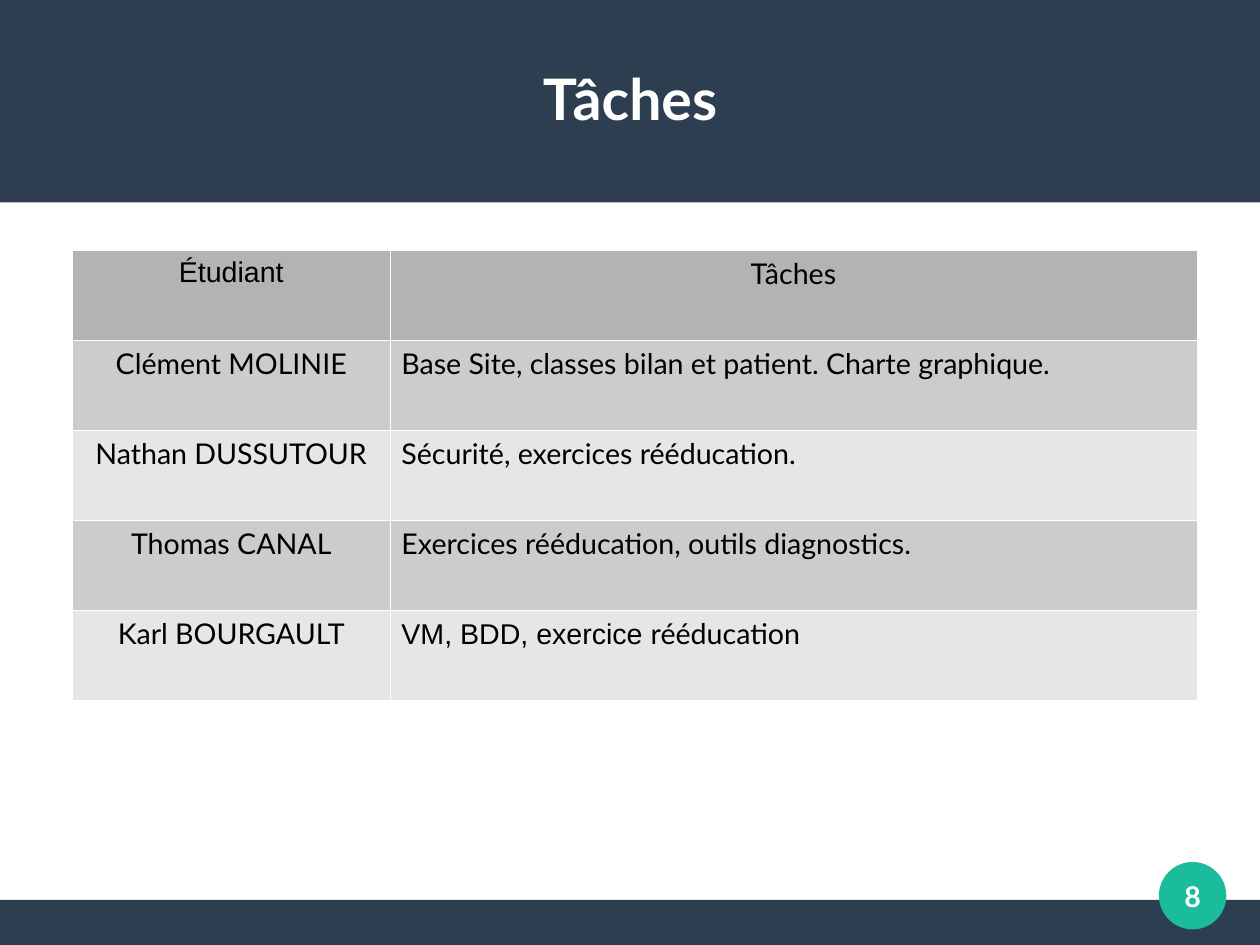
"""Build the slide that lists the tasks of each student."""
from lxml import etree
from pptx import Presentation
from pptx.dml.color import RGBColor
from pptx.enum.shapes import MSO_SHAPE as Shape
from pptx.enum.text import MSO_ANCHOR as Anchor, PP_ALIGN as Align
from pptx.oxml.ns import qn
from pptx.util import Pt

COLORS = {
    "navy": "2C3E50", "green": "1ABC9C", "white": "FFFFFF", "black": "000000",
    "header": "B3B3B3", "odd": "CCCCCC", "even": "E6E6E6",
}
WIDTH, HEIGHT = 793.7, 595.3
ROW_HEIGHT = 56.7
COLUMN_WIDTHS = (200, 508.3)


def color(name):
    return RGBColor.from_string(COLORS[name])


def write(frame, spans, align, ink="black", **formats):
    para = frame.paragraphs[0]
    para.alignment = align
    for text, font_name in spans:
        span = para.add_run()
        span.text = text
        span.font.color.rgb = color(ink)
        for key, value in {"name": font_name, "size": Pt(18), **formats}.items():
            setattr(span.font, key, value)


deck = Presentation()
deck.slide_width, deck.slide_height = Pt(WIDTH), Pt(HEIGHT)
page = deck.slides.add_slide(deck.slide_layouts[6])

decorations = [
    (Shape.RECTANGLE, "navy", 0, 566.9, WIDTH, 28.4),
    (Shape.RECTANGLE, "navy", 0, 0, WIDTH, 127.6),
    (Shape.OVAL, "green", 730, 543, 42.5, 42.5),
]
for kind, fill, *bounds in decorations:
    shape = page.shapes.add_shape(kind, *map(Pt, bounds))
    shape.shadow.inherit = False
    shape.fill.solid()
    shape.fill.fore_color.rgb = color(fill)
    shape.line.fill.background()

rows = [
    ([("Étudiant", "Arial")], [("Tâches", "Lato")]),
    ([("Clément MOLINIE", "Lato")],
     [("Base Site, classes bilan et patient. Charte graphique.", "Lato")]),
    ([("Nathan DUSSUTOUR", "Lato")], [("Sécurité, exercices rééducation.", "Lato")]),
    ([("Thomas CANAL", "Lato")], [("Exercices rééducation, outils diagnostics.", "Lato")]),
    ([("Karl BOURGAULT", "Lato")], [("VM, BDD, exercice ", "Arial"), ("rééducation", "Lato")]),
]
table = page.shapes.add_table(
    len(rows), 2, Pt(45.7), Pt(157.8), Pt(sum(COLUMN_WIDTHS)), Pt(ROW_HEIGHT * len(rows))
).table
for column, width in zip(table.columns, COLUMN_WIDTHS):
    column.width = Pt(width)

for row_index, row in enumerate(rows):
    table.rows[row_index].height = Pt(ROW_HEIGHT)
    shade = "header" if row_index == 0 else ("even", "odd")[row_index % 2]
    for column_index, spans in enumerate(row):
        cell = table.cell(row_index, column_index)
        centred = row_index == 0 or column_index == 0
        write(cell.text_frame, spans, Align.CENTER if centred else Align.LEFT)
        cell.fill.solid()
        cell.fill.fore_color.rgb = color(shade)
        properties = cell._tc.get_or_add_tcPr()
        for position, side in enumerate(("lnL", "lnR", "lnT", "lnB")):
            border = etree.Element(qn(f"a:{side}"), w=str(Pt(0.06)))
            solid = etree.SubElement(border, qn("a:solidFill"))
            etree.SubElement(solid, qn("a:srgbClr"), val=COLORS["white"])
            properties.insert(position, border)

labels = [
    ("Tâches", 36, 28.3, 23.8, 737.2, 75.6),
    ("8", 18, 722.9, 535.9, 56.7, 56.7),
]
for text, size, *bounds in labels:
    box = page.shapes.add_textbox(*map(Pt, bounds))
    frame = box.text_frame
    frame.word_wrap = True
    frame.vertical_anchor = Anchor.MIDDLE
    for side in ("left", "top", "right", "bottom"):
        setattr(frame, f"margin_{side}", 0)
    write(frame, [(text, "Lato")], Align.CENTER, "white", size=Pt(size), bold=True)

deck.save("out.pptx")
